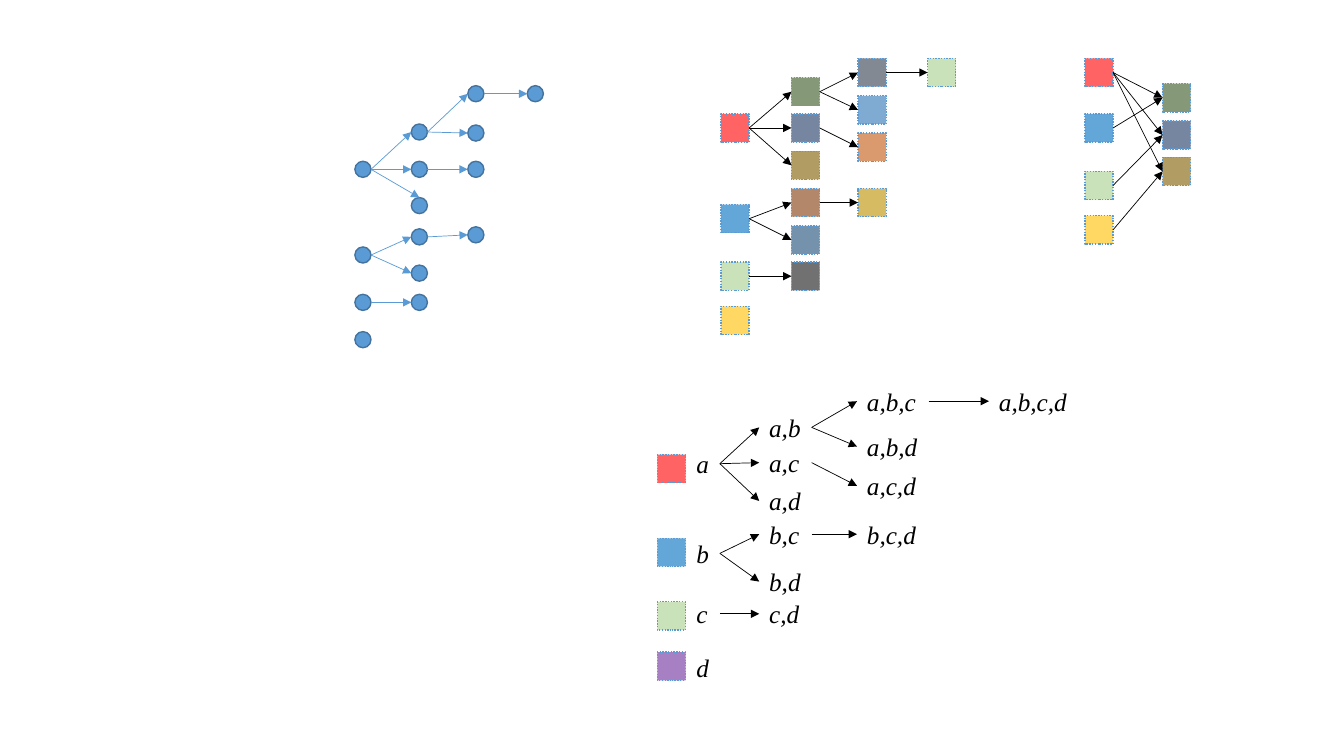
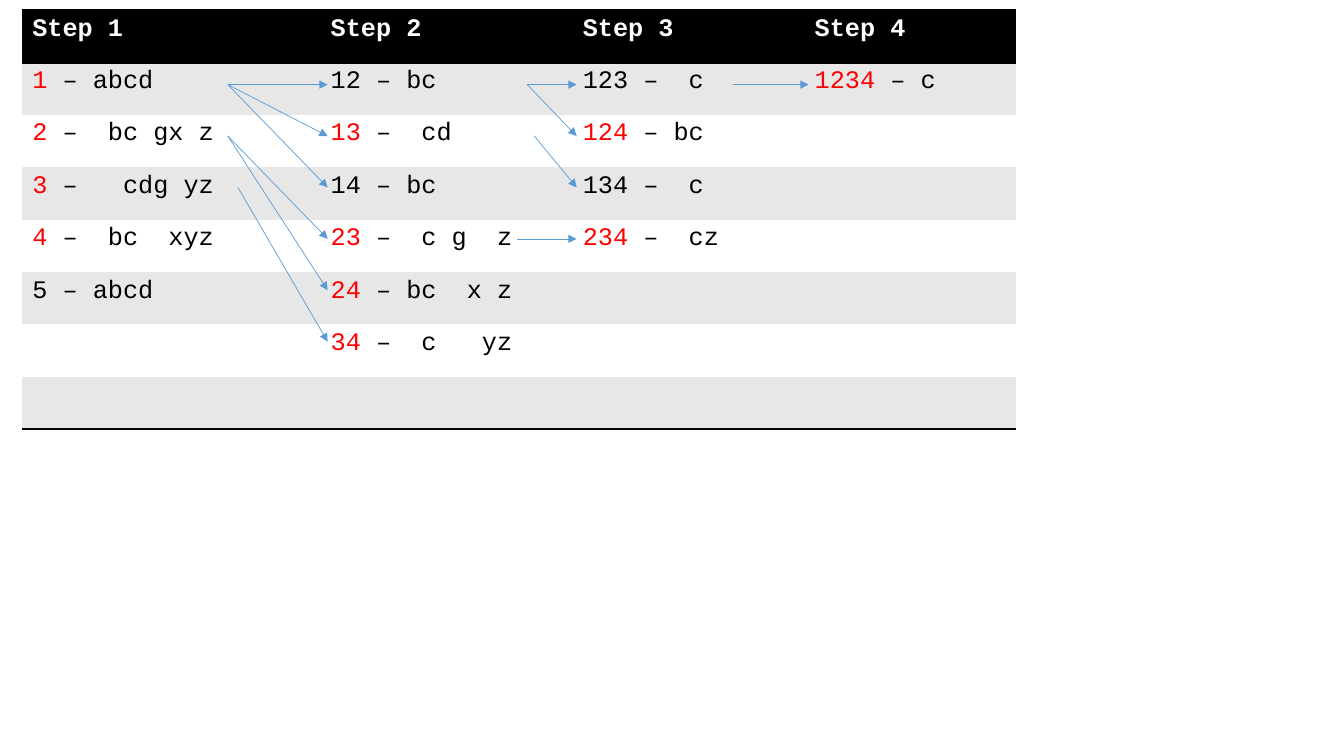
from lxml import etree
from pptx import Presentation
from pptx import util as u
from pptx.dml.color import RGBColor
from pptx.enum import dml, shapes, text
from pptx.oxml.ns import qn

COLORS = {
    "black": "000000", "white": "FFFFFF", "band": "E7E7E7", "red": "FF0000",
    "blue": "5B9BD5", "dot_edge": "43739E", "purple": "7030A0",
}
# Fill of each item set in the square diagrams
SET_COLORS = {
    "a": "FF0000", "b": "0070C0", "c": "A9D18E", "d": "FFC000",
    "ab": "385723", "ac": "203864", "ad": "806000",
    "bc": "843C0B", "bd": "1F4E79", "cd": "181717",
    "abc": "333F50", "abd": "2E75B6", "acd": "C55A11", "bcd": "BF9000",
    "abcd": "A9D18E",
}
SQUARE, DOT, LABEL_H = 0.28, 0.16, 0.4

# Vertical centre of every item set; a set's parent is its prefix
DOT_ROWS = {
    "a": 1.68, "b": 2.53, "c": 3, "d": 3.37,
    "ab": 1.31, "ac": 1.68, "ad": 2.04, "bc": 2.35, "bd": 2.71, "cd": 3,
    "abc": 0.93, "abd": 1.32, "acd": 1.68, "bcd": 2.33, "abcd": 0.93,
}
SQUARE_ROWS = {
    "a": 1.27, "b": 2.17, "c": 2.74, "d": 3.18,
    "ab": 0.91, "ac": 1.27, "ad": 1.64, "bc": 2.01, "bd": 2.38, "cd": 2.74,
    "abc": 0.72, "abd": 1.09, "acd": 1.46, "bcd": 2.01, "abcd": 0.72,
}
LABEL_ROWS = {
    "a": 4.6, "b": 5.49, "c": 6.09, "d": 6.62,
    "ab": 4.24, "ac": 4.59, "ad": 4.97, "bc": 5.3, "bd": 5.77, "cd": 6.09,
    "abc": 3.98, "abd": 4.43, "acd": 4.82, "bcd": 5.3, "abcd": 3.98,
}
LETTER_ROWS = {"a": 0.72, "b": 1.27, "c": 1.84, "d": 2.28}
PAIR_ROWS = {"ab": 0.97, "ac": 1.34, "ad": 1.7}
KEY_ROWS = {"a": 4.65, "b": 5.48, "c": 6.11, "d": 6.61}

# Step table
TABLE_LEFT, TABLE_TOP, ROW_H = 0.22, 0.1, 0.52
COL_WIDTHS = [2.96, 2.5, 2.3, 2.1]
TABLE_ROWS = [
    ["Step 1", "Step 2", "Step 3", "Step 4"],
    ["1 – abcd", "12 – bc", "123 –  c", "1234 – c"],
    ["2 –  bc gx z", "13 –  cd", "124 – bc", ""],
    ["3 –   cdg yz", "14 – bc", "134 –  c", ""],
    ["4 –  bc  xyz", "23 –  c g  z", "234 –  cz", ""],
    ["5 – abcd", "24 – bc  x z", "", ""],
    ["", "34 –  c   yz", "", ""],
    ["", "", "", ""],
]
RED_IDS = {"1", "2", "3", "4", "13", "23", "24", "34", "124", "234", "1234"}
# Start x, start row, end x, end rows
STEP_LINKS = [
    (2.26, 1, 3.25, (1, 2, 3)), (2.26, 2, 3.25, (4, 5)), (2.36, 3, 3.25, (6,)),
    (5.23, 1, 5.72, (1, 2)), (5.3, 2, 5.72, (3,)), (5.13, 4, 5.72, (4,)),
    (7.27, 1, 8.02, (1,)),
]


def rgb(value):
    return RGBColor.from_string(value)


def add_node(slide, kind, left, middle, size, fill, edge):
    """Add a shape given its left edge and vertical centre."""
    sp = slide.shapes.add_shape(kind, u.Inches(left), u.Inches(middle - size / 2),
                                u.Inches(size), u.Inches(size))
    sp.shadow.inherit = False
    sp.fill.solid()
    sp.fill.fore_color.rgb = rgb(fill)
    sp.line.color.rgb = rgb(edge)
    sp.line.width = u.Pt(1)
    return sp


def add_dot(slide, key, left, middle):
    add_node(slide, shapes.MSO_SHAPE.OVAL, left, middle, DOT,
             COLORS["blue"], COLORS["dot_edge"])
    return DOT


def add_square(slide, key, left, middle, fill=None):
    sp = add_node(slide, shapes.MSO_SHAPE.RECTANGLE, left, middle, SQUARE,
                  fill or SET_COLORS[key], COLORS["blue"])
    sp.line.dash_style = dml.MSO_LINE.ROUND_DOT
    color = sp.fill._xPr.find(qn("a:solidFill"))[0]
    etree.SubElement(color, qn("a:alpha"), val="61000")
    return SQUARE


def add_label(slide, key, left, middle):
    width = 0.14 + 0.19 * len(key)
    box = slide.shapes.add_textbox(u.Inches(left), u.Inches(middle - LABEL_H / 2),
                                   u.Inches(width), u.Inches(LABEL_H))
    tf = box.text_frame
    tf.word_wrap = False
    tf.auto_size = text.MSO_AUTO_SIZE.SHAPE_TO_FIT_TEXT
    add_run(tf.paragraphs[0], ",".join(key), "Times New Roman",
            COLORS["black"], italic=True)
    return width


def add_run(p, words, font, color, bold=False, italic=False):
    r = p.add_run()
    r.text = words
    r.font.name, r.font.size = font, u.Pt(18)
    r.font.bold, r.font.italic = bold, italic
    r.font.color.rgb = rgb(color)


def add_arrow(slide, start, end, color):
    line = slide.shapes.add_connector(shapes.MSO_CONNECTOR.STRAIGHT,
                                      *(u.Inches(v) for v in (*start, *end)))
    line.line.color.rgb = rgb(color)
    line.line.width = u.Pt(0.5)
    etree.SubElement(line.line._get_or_add_ln(), qn("a:tailEnd"), type="triangle")
    etree.SubElement(line._element.spPr, qn("a:effectLst"))


def add_tree(slide, rows, columns, draw, color, top_ends=()):
    """Draw one node per item set and an arrow to it from its prefix."""
    right = {}
    for key, middle in rows.items():
        left = columns[len(key) - 1]
        right[key] = left + draw(slide, key, left, middle)
        parent = key[:-1]
        if parent:
            end = (left + DOT / 2, middle - DOT / 2) if key in top_ends else (left, middle)
            add_arrow(slide, (right[parent], rows[parent]), end, color)


def add_pair_links(slide, letter_left, pair_left):
    """Link each letter to all the pairs that contain it."""
    for letter, middle in LETTER_ROWS.items():
        add_square(slide, letter, letter_left, middle)
    for pair, middle in PAIR_ROWS.items():
        add_square(slide, pair, pair_left, middle)
        for letter in pair:
            add_arrow(slide, (letter_left + SQUARE, LETTER_ROWS[letter]),
                      (pair_left, middle), COLORS["black"])


def add_borders(cell, sides):
    tc_pr = cell._tc.get_or_add_tcPr()
    for i, side in enumerate(sides):
        ln = etree.Element(qn("a:ln" + side), w=str(u.Pt(2)))
        fill = etree.SubElement(ln, qn("a:solidFill"))
        etree.SubElement(fill, qn("a:srgbClr"), val=COLORS["black"])
        tc_pr.insert(i, ln)


def fill_cell(cell, row, words):
    header, last = row == 0, row == len(TABLE_ROWS) - 1
    cell.fill.solid()
    fill = "black" if header else "band" if row % 2 else "white"
    cell.fill.fore_color.rgb = rgb(COLORS[fill])
    add_borders(cell, "TB" if header else "B" if last else "")
    p = cell.text_frame.paragraphs[0]
    font = "Courier New"
    number, gap, rest = words.partition(" ")
    if header:
        add_run(p, words, font, COLORS["white"], bold=True)
    elif number in RED_IDS:
        add_run(p, number, font, COLORS["red"])
        add_run(p, gap + rest, font, COLORS["black"])
    elif words:
        add_run(p, words, font, COLORS["black"])


def add_step_table(slide):
    count = len(TABLE_ROWS)
    frame = slide.shapes.add_table(
        count, len(COL_WIDTHS), u.Inches(TABLE_LEFT), u.Inches(TABLE_TOP),
        u.Inches(sum(COL_WIDTHS)), u.Inches(count * ROW_H))
    table = frame.table
    # Plain style without grid lines
    style = table._tbl.tblPr.find(qn("a:tableStyleId"))
    style.text = "{2D5ABB26-0587-4C30-8999-92F81FD0307C}"
    for column, width in zip(table.columns, COL_WIDTHS):
        column.width = u.Inches(width)
    for r, row in enumerate(TABLE_ROWS):
        table.rows[r].height = u.Inches(ROW_H)
        for c, words in enumerate(row):
            fill_cell(table.cell(r, c), r, words)


def row_y(row):
    return 0.84 + 0.51 * (row - 1)


def build_trees(slide):
    add_tree(slide, DOT_ROWS, [3.52, 4.08, 4.64, 5.23], add_dot,
             COLORS["blue"], top_ends=("ad",))
    add_tree(slide, SQUARE_ROWS, [7.15, 7.85, 8.51, 9.2], add_square, COLORS["black"])
    add_pair_links(slide, 10.76, 11.53)
    add_tree(slide, LABEL_ROWS, [6.81, 7.53, 8.5, 9.81], add_label, COLORS["black"])
    # Colour key beside the letters
    for key, middle in KEY_ROWS.items():
        add_square(slide, key, 6.52, middle, COLORS["purple"] if key == "d" else None)


def build_steps(slide):
    add_step_table(slide)
    for x1, start, x2, ends in STEP_LINKS:
        for end in ends:
            add_arrow(slide, (x1, row_y(start)), (x2, row_y(end)), COLORS["blue"])


def main():
    prs = Presentation()
    prs.slide_width, prs.slide_height = u.Inches(13.33), u.Inches(7.5)
    blank = prs.slide_layouts[6]
    for build in (build_trees, build_steps):
        build(prs.slides.add_slide(blank))
    prs.save("out.pptx")


if __name__ == "__main__":
    main()
